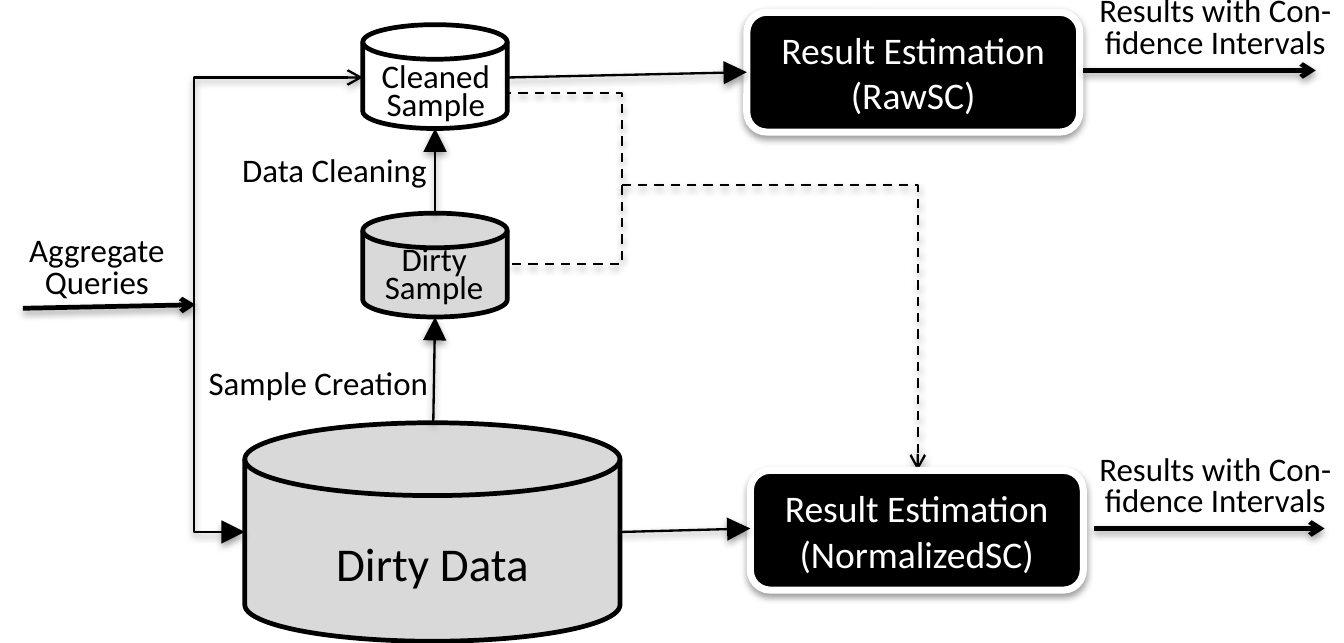
from dataclasses import dataclass
from typing import Optional

import pptx
import pptx.dml.color
import pptx.enum.dml
import pptx.enum.shapes
import pptx.enum.text
import pptx.oxml
import pptx.oxml.ns
import pptx.util

PX = 9525  # 96 px to the inch
COLORS = {"ink": "000000", "paper": "FFFFFF", "dirty": "D9D9D9"}
SHADOW = (
    '<a:outerShdw %s blurRad="40000" dist="20000" dir="5400000" rotWithShape="0">'
    '<a:srgbClr val="%s"><a:alpha val="38000"/></a:srgbClr></a:outerShdw>'
    % (pptx.oxml.ns.nsdecls("a"), COLORS["ink"])
)
DISK = pptx.enum.shapes.MSO_SHAPE.FLOWCHART_MAGNETIC_DISK
ROUND = pptx.enum.shapes.MSO_SHAPE.ROUNDED_RECTANGLE
MIDDLE = pptx.enum.text.MSO_ANCHOR.MIDDLE
TOP = pptx.enum.text.MSO_ANCHOR.TOP
CENTER = pptx.enum.text.PP_ALIGN.CENTER
LEFT = pptx.enum.text.PP_ALIGN.LEFT


@dataclass
class Node:
    kind: int
    at: tuple[int, int, int, int]
    fill: str
    edge: str
    weight: int
    text: str = ""
    size: int = 16
    color: str = "paper"
    anchor: int = MIDDLE
    inset_top: int = 5
    shadow: bool = False


@dataclass
class Link:
    start: tuple[int, int]
    end: tuple[int, int]
    weight: int = 1
    head: str = ""
    tail: str = ""
    dashed: bool = False
    turn: Optional[int] = None  # x of the vertical part of a bent link


@dataclass
class Label:
    text: str
    at: tuple[int, int, int, int]
    spacing: float = 1.0
    align: int = CENTER
    wrap: bool = True


def px(value: int) -> int:
    return pptx.util.Emu(value * PX)


def rgb(name: str) -> pptx.dml.color.RGBColor:
    return pptx.dml.color.RGBColor.from_string(COLORS[name])


def write(frame, text: str, *, size: int, color: str = "ink", align: int = CENTER,
          spacing: float = 1.0) -> None:
    for index, line in enumerate(text.split("\n")):
        para = frame.paragraphs[0] if index == 0 else frame.add_paragraph()
        para.alignment = align
        para.line_spacing = spacing
        span = para.add_run()
        span.text = line
        span.font.name = "Calibri"
        span.font.size = pptx.util.Pt(size)
        span.font.color.rgb = rgb(color)


def draw_node(page, node: Node) -> None:
    shape = page.shapes.add_shape(node.kind, *map(px, node.at))
    shape.fill.solid()
    shape.fill.fore_color.rgb = rgb(node.fill)
    shape.line.color.rgb = rgb(node.edge)
    shape.line.width = pptx.util.Pt(node.weight)
    shape.shadow.inherit = False
    if node.shadow:
        effects = shape._element.spPr.find(pptx.oxml.ns.qn("a:effectLst"))
        effects.append(pptx.oxml.parse_xml(SHADOW))
    if node.text:
        frame = shape.text_frame
        frame.vertical_anchor = node.anchor
        frame.margin_top = px(node.inset_top)
        write(frame, node.text, size=node.size, color=node.color)


def draw_link(page, link: Link) -> None:
    kinds = pptx.enum.shapes.MSO_CONNECTOR
    kind = kinds.STRAIGHT if link.turn is None else kinds.ELBOW
    line = page.shapes.add_connector(kind, *map(px, link.start + link.end))
    line.line.color.rgb = rgb("ink")
    line.line.width = pptx.util.Pt(link.weight)
    if link.dashed:
        line.line.dash_style = pptx.enum.dml.MSO_LINE.DASH
    properties = line._element.spPr

    # Bend
    geometry = properties.find(pptx.oxml.ns.qn("a:prstGeom"))
    if link.turn == link.end[0]:
        geometry.set("prst", "bentConnector2")
    elif link.turn is not None:
        share = (link.turn - link.start[0]) / (link.end[0] - link.start[0])
        guide = geometry.get_or_add_avLst().makeelement(pptx.oxml.ns.qn("a:gd"))
        guide.set("name", "adj1")
        guide.set("fmla", f"val {round(share * 100000)}")
        geometry.avLst.append(guide)

    # Arrowheads and shadow
    stroke = properties.find(pptx.oxml.ns.qn("a:ln"))
    for tag, style in (("headEnd", link.head), ("tailEnd", link.tail)):
        if style:
            size = "lg" if style == "triangle" else "med"
            stroke.append(pptx.oxml.parse_xml(
                f'<a:{tag} {pptx.oxml.ns.nsdecls("a")} type="{style}" '
                f'w="{size}" len="{size}"/>'))
    effects = pptx.oxml.parse_xml(f'<a:effectLst {pptx.oxml.ns.nsdecls("a")}/>')
    effects.append(pptx.oxml.parse_xml(SHADOW))
    properties.append(effects)


def draw_label(page, label: Label) -> None:
    box = page.shapes.add_textbox(*map(px, label.at))
    frame = box.text_frame
    frame.word_wrap = label.wrap
    frame.auto_size = pptx.enum.text.MSO_AUTO_SIZE.SHAPE_TO_FIT_TEXT
    write(frame, label.text, size=14, align=label.align, spacing=label.spacing)


SAMPLE_LINKS = [
    Link((285, 53), (273, 150), dashed=True, turn=353),
    Link((353, 105), (521, 267), tail="arrow", dashed=True, turn=521),
]
NODES = [
    Node(DISK, (139, 240, 213, 124), "dirty", "ink", 2, "Dirty Data", 20, "ink", TOP, 22),
    Node(DISK, (206, 121, 82, 59), "dirty", "ink", 2),
    Node(DISK, (206, 14, 82, 59), "paper", "ink", 2),
    Node(ROUND, (424, 7, 189, 68), "ink", "paper", 3,
         "Result Estimation\n(RawSC)", shadow=True),
    Node(ROUND, (426, 267, 189, 68), "ink", "paper", 3,
         "Result Estimation\n(NormalizedSC)", shadow=True),
]
FLOW_LINKS = [
    Link((13, 175), (111, 173), 2, tail="arrow"),
    Link((206, 44), (139, 302), head="arrow", tail="triangle", turn=110),
    Link((246, 240), (247, 180), tail="triangle"),
    Link((247, 121), (247, 73), tail="triangle"),
    Link((288, 44), (424, 41), tail="triangle"),
    Link((352, 302), (426, 300), tail="triangle"),
    Link((615, 40), (747, 40), 2, tail="arrow"),
    Link((621, 300), (752, 300), 2, tail="arrow"),
]
LABELS = [
    Label("Dirty\nSample", (194, 137, 105, 42), 0.7),
    Label("Cleaned\nSample", (195, 33, 105, 42), 0.7),
    Label("Aggregate\nQueries", (6, 130, 98, 47), 0.8, wrap=False),
    Label("Sample Creation", (109, 201, 145, 33), align=LEFT, wrap=False),
    Label("Data Cleaning", (128, 80, 126, 33), align=LEFT, wrap=False),
    *(Label("Results with Con-\nfidence Intervals", (612, top, 156, 47), 0.8)
      for top in (-6, 254)),
]


def main() -> None:
    deck = pptx.Presentation()
    deck.slide_width = px(763)
    deck.slide_height = px(365)
    page = deck.slides.add_slide(deck.slide_layouts[6])
    for link in SAMPLE_LINKS:
        draw_link(page, link)
    for node in NODES:
        draw_node(page, node)
    for link in FLOW_LINKS:
        draw_link(page, link)
    for label in LABELS:
        draw_label(page, label)
    deck.save("out.pptx")


if __name__ == "__main__":
    main()
